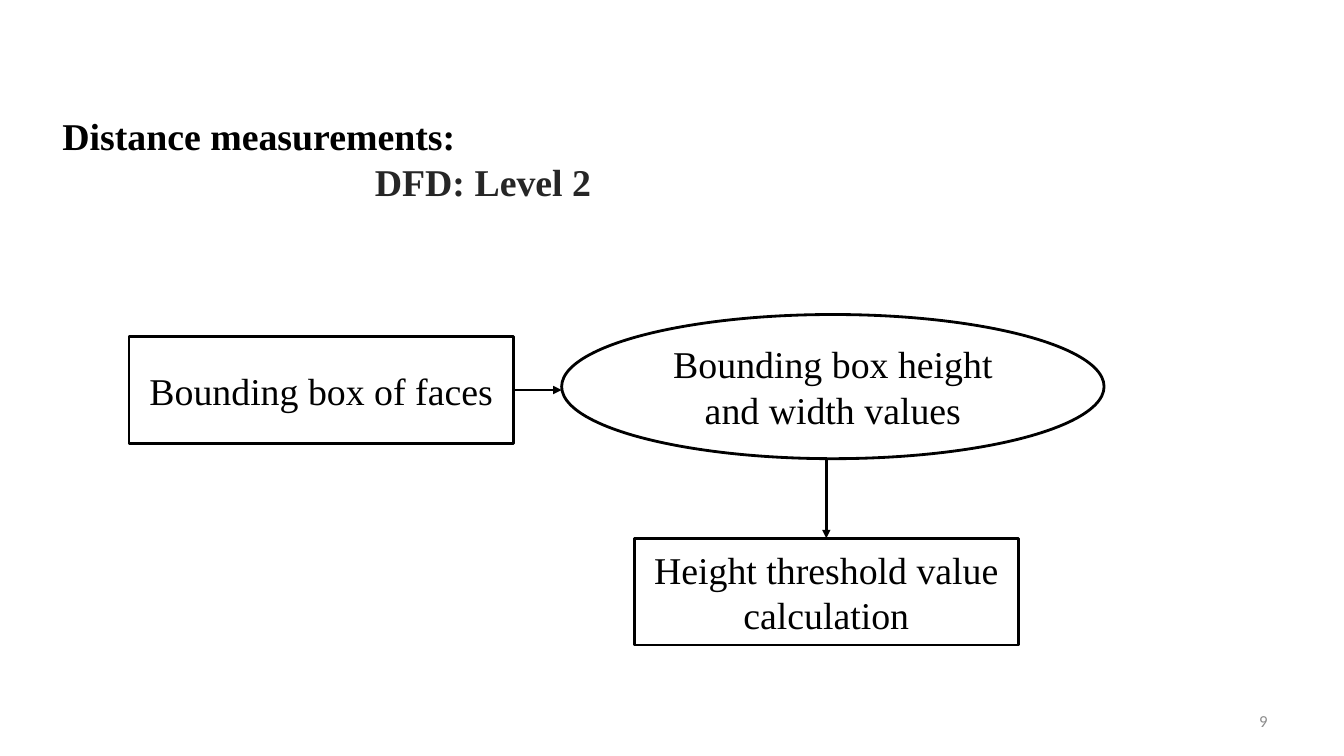
from dataclasses import dataclass

from lxml import etree
from pptx import Presentation
from pptx.dml.color import RGBColor
from pptx.enum.shapes import MSO_CONNECTOR, MSO_SHAPE
from pptx.enum.text import MSO_ANCHOR, PP_ALIGN
from pptx.oxml.ns import qn
from pptx.shapes.autoshape import Shape
from pptx.shapes.connector import Connector
from pptx.slide import Slide
from pptx.text.text import TextFrame
from pptx.util import Emu, Inches, Pt

RECT, OVAL = MSO_SHAPE.RECTANGLE, MSO_SHAPE.OVAL
STRAIGHT = MSO_CONNECTOR.STRAIGHT
LEFT, CENTER, RIGHT = PP_ALIGN.LEFT, PP_ALIGN.CENTER, PP_ALIGN.RIGHT
TOP, MIDDLE = MSO_ANCHOR.TOP, MSO_ANCHOR.MIDDLE

BLACK = RGBColor(0x00, 0x00, 0x00)
WHITE = RGBColor(0xFF, 0xFF, 0xFF)
CHARCOAL = RGBColor(0x26, 0x26, 0x26)
GRAY = RGBColor(0x8C, 0x8C, 0x8C)

SERIF, SANS = "Times New Roman", "Calibri"
WIDTH, HEIGHT = Inches(13.33), Inches(7.5)
LINE_WIDTH = Pt(2)
BOX_W, BOX_H = 28.58, 14.13
SIDE_TOP, SIDE_RIGHT = 0, 3


@dataclass(frozen=True)
class Area:
    """Left, top, width and height in percent of the slide."""
    x: float
    y: float
    w: float
    h: float

    def emu(self) -> tuple[Emu, Emu, Emu, Emu]:
        return col(self.x), row(self.y), col(self.w), row(self.h)


@dataclass(frozen=True)
class Node:
    kind: MSO_SHAPE
    area: Area
    text: str


def col(share: float) -> Emu:
    return Emu(round(WIDTH * share / 100))


def row(share: float) -> Emu:
    return Emu(round(HEIGHT * share / 100))


FACES = Node(RECT, Area(9.6, 44.53, BOX_W, BOX_H), "Bounding box of faces")
VALUES = Node(OVAL, Area(41.79, 41.6, 40.36, 19.07),
              "Bounding box height and width values")
THRESHOLD = Node(RECT, Area(47.19, 71.2, BOX_W, BOX_H),
                 "Height threshold value calculation")
PAGE_NUMBER = Area(71.72, 92.67, 23.33, 5.33)
HEADING = Area(3.9, 14.27, 43.29, 13.47)
SUBTITLE_INDENT = col(23.25)


def write(tf: TextFrame, text: str, *, size: float = 27, font: str = SERIF,
          color: RGBColor = BLACK, bold: bool = False,
          align: PP_ALIGN = LEFT, indent: int = 0) -> None:
    p = tf.paragraphs[0] if not tf.text else tf.add_paragraph()
    p.alignment = align
    if indent:
        p._p.get_or_add_pPr().set("marL", str(indent))
    r = p.add_run()
    r.text = text
    r.font.size, r.font.name, r.font.bold = Pt(size), font, bold
    r.font.color.rgb = color


def add_text_box(s: Slide, area: Area, anchor: MSO_ANCHOR = TOP) -> TextFrame:
    tf = s.shapes.add_textbox(*area.emu()).text_frame
    tf.word_wrap = True
    tf.vertical_anchor = anchor
    return tf


def add_node(s: Slide, node: Node) -> Shape:
    sp = s.shapes.add_shape(node.kind, *node.area.emu())
    sp.shadow.inherit = False
    sp.fill.solid()
    sp.fill.fore_color.rgb = WHITE
    sp.line.color.rgb = BLACK
    sp.line.width = LINE_WIDTH
    tf = sp.text_frame
    tf.word_wrap = True
    tf.vertical_anchor = MIDDLE
    write(tf, node.text, align=CENTER)
    return sp


def add_arrow(s: Slide, x1: int, y1: int, x2: int, y2: int) -> Connector:
    arrow = s.shapes.add_connector(STRAIGHT, x1, y1, x2, y2)
    arrow.line.color.rgb = BLACK
    arrow.line.width = LINE_WIDTH
    tail = etree.SubElement(arrow.line._get_or_add_ln(), qn("a:tailEnd"))
    tail.set("type", "triangle")
    etree.SubElement(arrow._element.spPr, qn("a:effectLst"))
    return arrow


def main() -> None:
    prs = Presentation()
    prs.slide_width, prs.slide_height = WIDTH, HEIGHT
    s = prs.slides.add_slide(prs.slide_layouts[6])

    write(add_text_box(s, PAGE_NUMBER, MIDDLE), "9", size=12, font=SANS,
          color=GRAY, align=RIGHT)

    faces, values, threshold = [add_node(s, n) for n in (FACES, VALUES, THRESHOLD)]

    faces_mid = faces.top + faces.height // 2
    arrow = add_arrow(s, faces.left + faces.width, faces_mid,
                      values.left, faces_mid)
    arrow.begin_connect(faces, SIDE_RIGHT)

    threshold_mid = threshold.left + threshold.width // 2
    arrow = add_arrow(s, threshold_mid, values.top + values.height,
                      threshold_mid, threshold.top)
    arrow.end_connect(threshold, SIDE_TOP)

    tf = add_text_box(s, HEADING)
    write(tf, "Distance measurements:", bold=True)
    write(tf, "DFD: Level 2", bold=True, color=CHARCOAL, indent=SUBTITLE_INDENT)

    prs.save("out.pptx")


if __name__ == "__main__":
    main()
